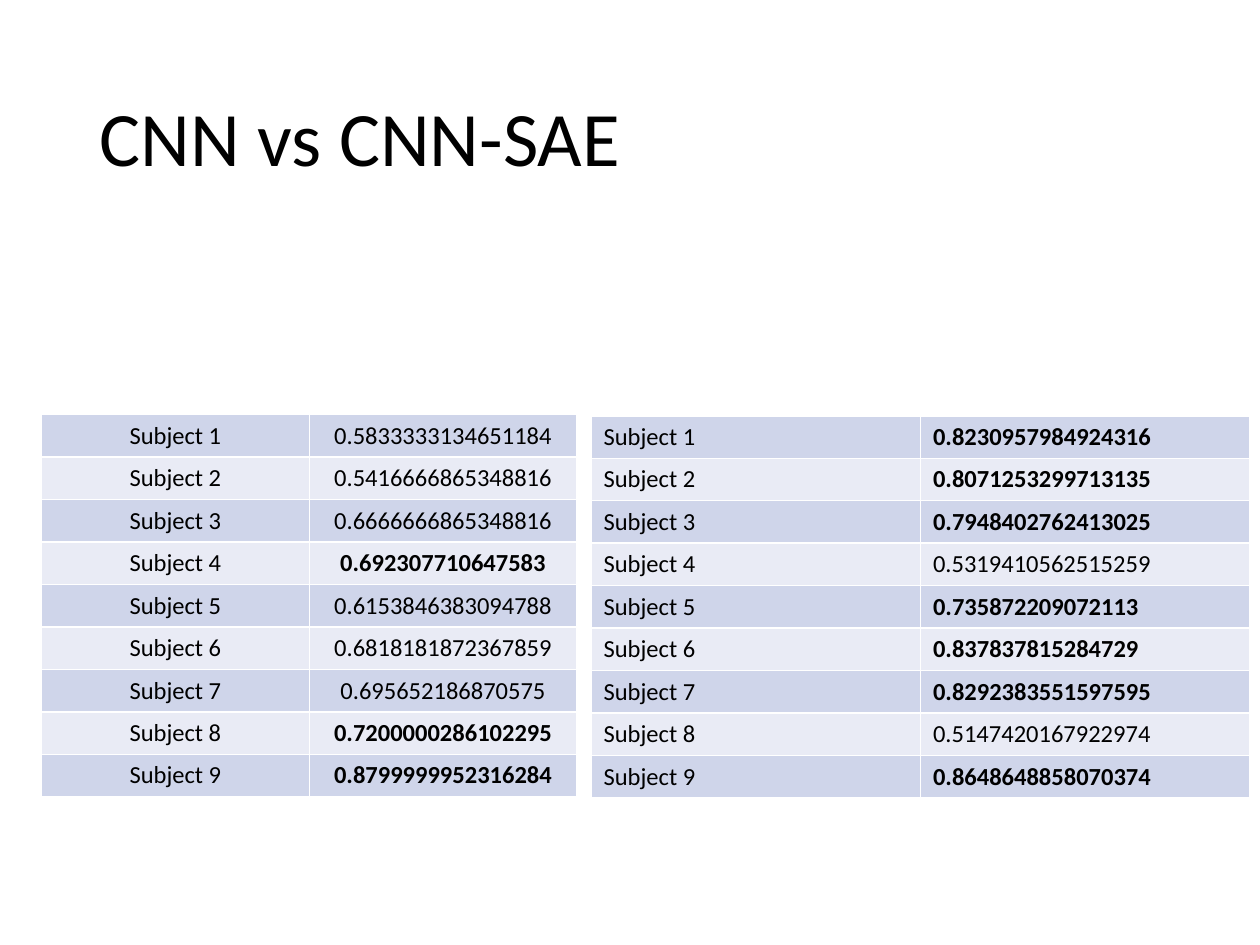
from pptx import Presentation
from pptx.dml.color import RGBColor
from pptx.enum.text import MSO_ANCHOR, PP_ALIGN
from pptx.oxml import parse_xml
from pptx.oxml.ns import nsdecls
from pptx.util import Inches, Pt

MIDDLE = MSO_ANCHOR.MIDDLE
LEFT, CENTER = PP_ALIGN.LEFT, PP_ALIGN.CENTER

# Accuracy per subject: (value, bold)
CNN = [
    ("0.5833333134651184", False),
    ("0.5416666865348816", False),
    ("0.6666666865348816", False),
    ("0.692307710647583", True),
    ("0.6153846383094788", False),
    ("0.6818181872367859", False),
    ("0.695652186870575", False),
    ("0.7200000286102295", True),
    ("0.8799999952316284", True),
]
CNN_SAE = [
    ("0.8230957984924316", True),
    ("0.8071253299713135", True),
    ("0.7948402762413025", True),
    ("0.5319410562515259", False),
    ("0.735872209072113", True),
    ("0.837837815284729", True),
    ("0.8292383551597595", True),
    ("0.5147420167922974", False),
    ("0.8648648858070374", True),
]


def rgb(value):
    return RGBColor.from_string(value)


class SlideBuilder:
    font = "Calibri"
    text_color = "000000"
    border_color = "FFFFFF"
    bands = ("CFD5EA", "E9EBF5")

    def __init__(self, slide):
        self.slide = slide

    def format_text(self, p, size, bold=False):
        for r in p.runs:
            r.font.name = self.font
            r.font.size = Pt(size)
            r.font.bold = bold
            r.font.color.rgb = rgb(self.text_color)

    def title(self, text, left, top, width, height):
        box = self.slide.shapes.add_textbox(
            Inches(left), Inches(top), Inches(width), Inches(height))
        tf = box.text_frame
        tf.word_wrap = True
        tf.vertical_anchor = MIDDLE
        p = tf.paragraphs[0]
        p.text = text
        p.line_spacing = 0.9
        self.format_text(p, 44)

    def borders(self, cell):
        tc_pr = cell._tc.get_or_add_tcPr()
        for i, side in enumerate(("lnL", "lnR", "lnT", "lnB")):
            tc_pr.insert(i, parse_xml(
                f'<a:{side} {nsdecls("a")} w="{Pt(1)}"><a:solidFill>'
                f'<a:srgbClr val="{self.border_color}"/></a:solidFill></a:{side}>'))

    def cell(self, cell, text, band, align, bold):
        cell.fill.solid()
        cell.fill.fore_color.rgb = rgb(band)
        cell.vertical_anchor = MIDDLE
        p = cell.text_frame.paragraphs[0]
        p.text = text
        p.alignment = align
        self.format_text(p, 14, bold)
        self.borders(cell)

    def table(self, scores, left, top, width, height, align):
        table = self.slide.shapes.add_table(
            len(scores), 2, Inches(left), Inches(top),
            Inches(width), Inches(height)).table
        table.first_row = False
        table.horz_banding = False
        for i, (score, bold) in enumerate(scores):
            band = self.bands[i % 2]
            self.cell(table.cell(i, 0), f"Subject {i + 1}", band, align, False)
            self.cell(table.cell(i, 1), score, band, align, bold)


def main():
    prs = Presentation()
    prs.slide_width, prs.slide_height = Inches(10), Inches(7.5)
    s = SlideBuilder(prs.slides.add_slide(prs.slide_layouts[6]))

    # Score tables
    s.table(CNN, 0.33, 3.29, 4.25, 3, CENTER)
    s.table(CNN_SAE, 4.69, 3.3, 5.23, 3, LEFT)

    # Title
    s.title("CNN vs CNN-SAE", 0.69, 0.4, 8.62, 1.45)

    prs.save("out.pptx")


if __name__ == "__main__":
    main()
